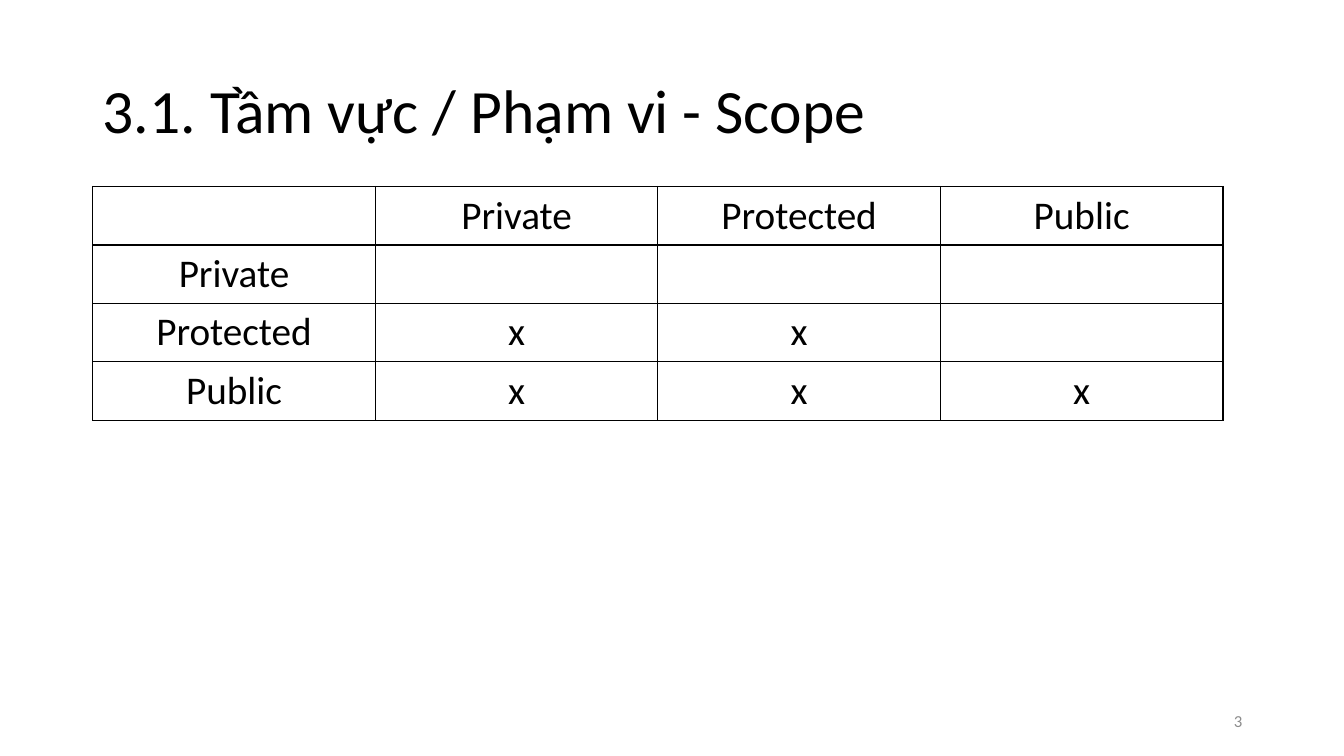
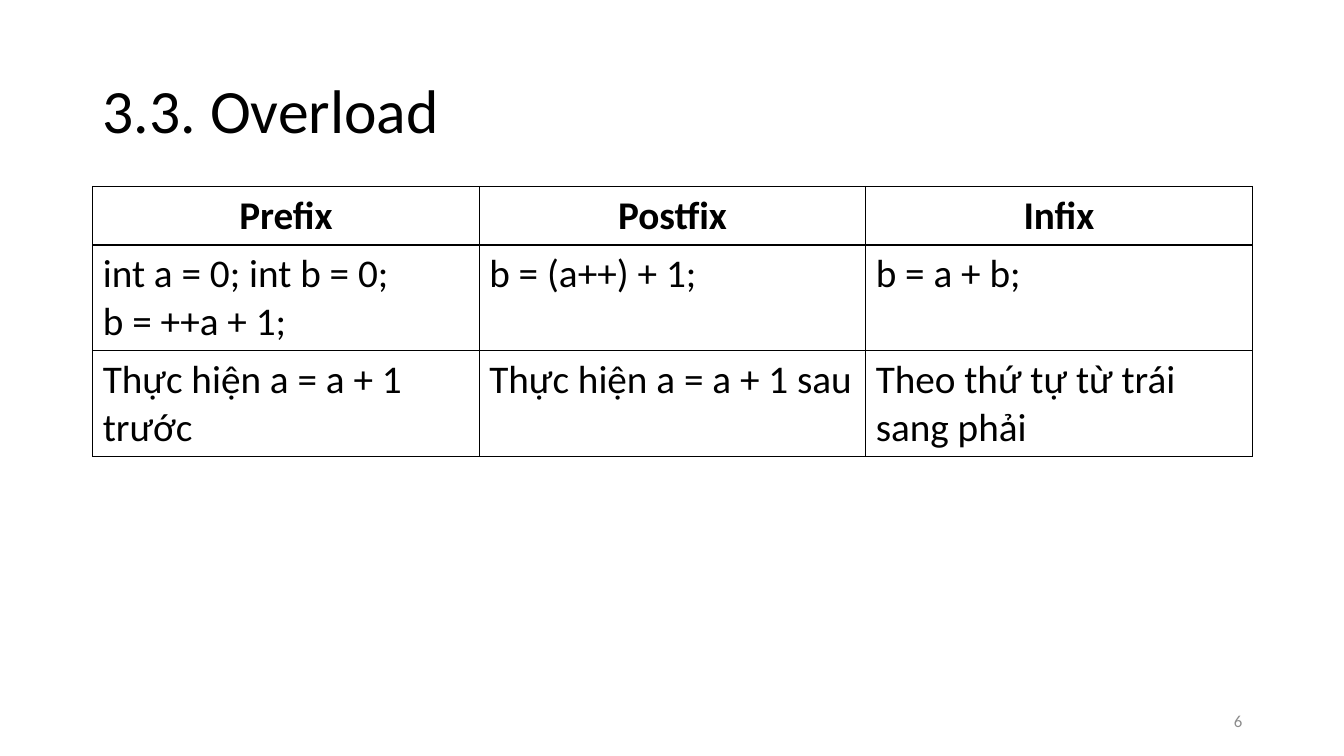
from lxml import etree
from pptx import Presentation
from pptx.dml.color import RGBColor
from pptx.enum import text
from pptx.oxml import ns
from pptx.util import Inches, Pt

FONT = "Calibri"
COLORS = {"ink": "000000", "page": "8C8C8C"}
LEFT, TOP, ROW = 0.92, 1.85, 0.58
ALIGN, ANCHOR = text.PP_ALIGN, text.MSO_ANCHOR

SLIDES = [
    {
        "title": "3.1. Tầm vực / Phạm vi - Scope",
        "page": "3",
        "width": 11.21,
        "heights": [ROW] * 4,
        "bold": False,
        "body": (ALIGN.CENTER, ANCHOR.MIDDLE),
        "rows": [
            ("", "Private", "Protected", "Public"),
            ("Private", "", "", ""),
            ("Protected", "x", "x", ""),
            ("Public", "x", "x", "x"),
        ],
    },
    {
        "title": "3.3. Overload",
        "page": "6",
        "width": 11.5,
        "heights": [ROW, 1.05, 1.05],
        "bold": True,
        "body": (ALIGN.LEFT, ANCHOR.TOP),
        "rows": [
            ("Prefix", "Postfix", "Infix"),
            ("int a = 0; int b = 0;\nb = ++a + 1;", "b = (a++) + 1;", "b = a + b;"),
            (
                "Thực hiện a = a + 1 trước",
                "Thực hiện a = a + 1 sau",
                "Theo thứ tự từ trái sang phải",
            ),
        ],
    },
]


def write(frame, words, size, color="ink", align=ALIGN.LEFT, bold=False):
    frame.text = words
    for para in frame.paragraphs:
        para.alignment = align
        for run in para.runs:
            run.font.name = FONT
            run.font.size = Pt(size)
            run.font.bold = bold
            run.font.color.rgb = RGBColor.from_string(COLORS[color])


def add_label(slide, box, words, size, **style):
    frame = slide.shapes.add_textbox(*map(Inches, box)).text_frame
    frame.word_wrap = True
    frame.vertical_anchor = ANCHOR.MIDDLE
    write(frame, words, size, **style)
    return frame


def add_border(cell):
    props = cell._tc.get_or_add_tcPr()
    for spot, side in enumerate("LRTB"):
        line = etree.Element(ns.qn(f"a:ln{side}"), w=str(Pt(1)))
        fill = etree.SubElement(line, ns.qn("a:solidFill"))
        etree.SubElement(fill, ns.qn("a:srgbClr"), val=COLORS["ink"])
        props.insert(spot, line)


def add_grid(slide, data):
    rows, heights = data["rows"], data["heights"]
    count = len(rows[0])
    box = map(Inches, (LEFT, TOP, data["width"], sum(heights)))
    table = slide.shapes.add_table(len(rows), count, *box).table
    table.first_row = table.horz_banding = False
    for col in table.columns:
        col.width = Inches(data["width"] / count)
    for r, (row, height) in enumerate(zip(rows, heights)):
        table.rows[r].height = Inches(height)
        head = r == 0
        align, anchor = (ALIGN.CENTER, ANCHOR.MIDDLE) if head else data["body"]
        for c, words in enumerate(row):
            cell = table.cell(r, c)
            cell.fill.background()
            cell.vertical_anchor = anchor
            add_border(cell)
            write(cell.text_frame, words, 28, align=align, bold=head and data["bold"])


def main():
    deck = Presentation()
    deck.slide_width, deck.slide_height = Inches(13.33), Inches(7.5)
    for data in SLIDES:
        slide = deck.slides.add_slide(deck.slide_layouts[6])
        title = add_label(slide, (LEFT, 0.4, 11.5, 1.45), data["title"], 44)
        title.paragraphs[0].line_spacing = 0.9
        add_grid(slide, data)
        add_label(slide, (9.42, 6.95, 3, 0.4), data["page"], 12,
                  color="page", align=ALIGN.RIGHT)
    deck.save("out.pptx")


if __name__ == "__main__":
    main()
